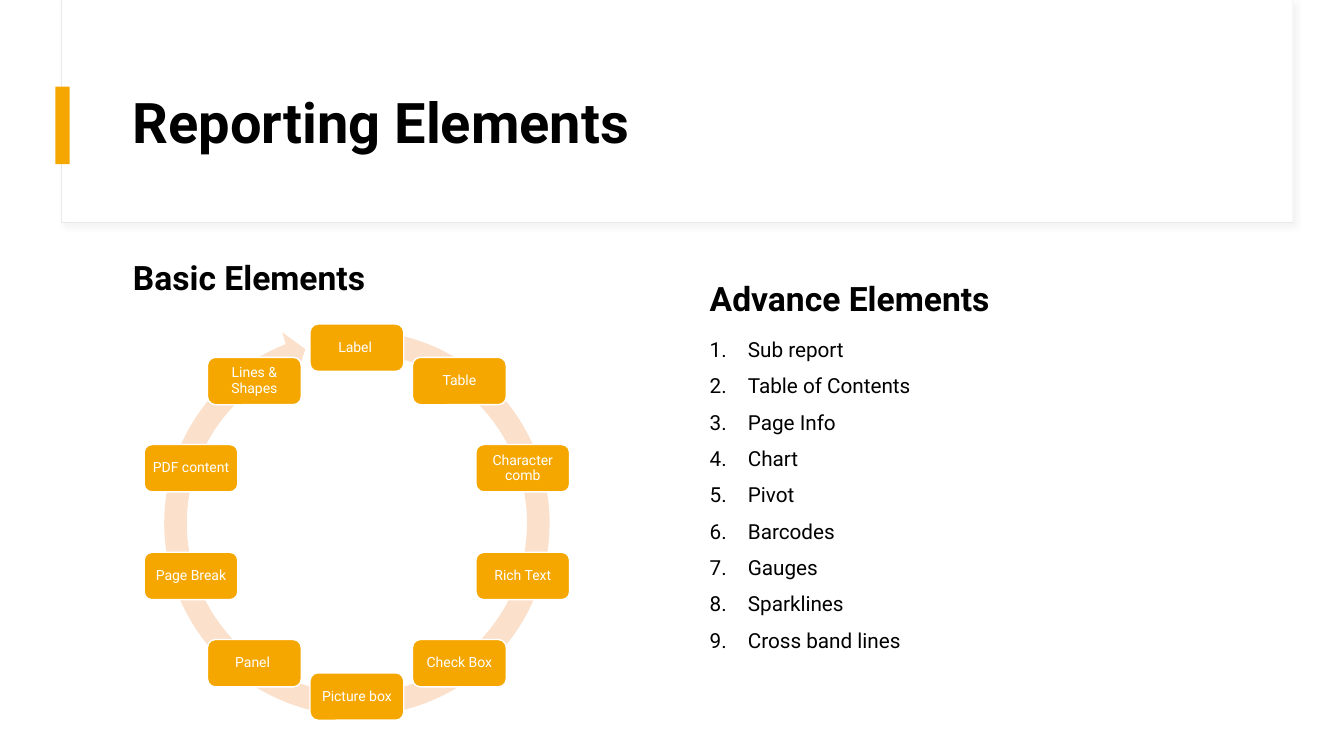
from dataclasses import dataclass
from math import cos, radians, sin

from lxml.etree import SubElement
from pptx import Presentation
from pptx.dml.color import RGBColor
from pptx.enum.shapes import MSO_SHAPE
from pptx.enum.text import MSO_ANCHOR, PP_ALIGN
from pptx.oxml.ns import qn
from pptx.util import Emu, Pt

PX = 9144  # EMU, 100 px to the inch

BASIC_ELEMENTS = ["Label ", "Table", "Character comb", "Rich Text", "Check Box",
                  "Picture box", "Panel ", "Page Break", "PDF content", "Lines & Shapes"]
ADVANCE_ELEMENTS = ["Sub report", "Table of Contents", "Page Info", "Chart", "Pivot",
                    "Barcodes", "Gauges", "Sparklines", "Cross band lines"]


@dataclass(frozen=True)
class Theme:
    font: str = "Roboto"
    ink: str = "000000"
    paper: str = "FFFFFF"
    accent: str = "F5A700"
    ring: str = "FBE1CC"
    frame: str = "E9E9E9"
    shadow: str = "D9D9D9"
    title: float = 40
    heading: float = 24
    body: float = 14.8
    label: float = 10


def px(value):
    return Emu(round(value * PX))


class SlideBuilder:
    def __init__(self, slide, theme):
        self.shapes = slide.shapes
        self.theme = theme

    def shape(self, kind, x, y, w, h, fill, line=None, line_width=1):
        sp = self.shapes.add_shape(kind, px(x), px(y), px(w), px(h))
        sp.shadow.inherit = False
        sp.fill.solid()
        sp.fill.fore_color.rgb = RGBColor.from_string(fill)
        if line:
            sp.line.color.rgb = RGBColor.from_string(line)
            sp.line.width = Pt(line_width)
        else:
            sp.line.fill.background()
        return sp

    def soft_shadow(self, sp):
        effects = sp._element.spPr.find(qn("a:effectLst"))
        shadow = SubElement(effects, qn("a:outerShdw"), blurRad=str(Pt(4)),
                            dist=str(Pt(3)), dir=str(45 * 60000), algn="tl", rotWithShape="0")
        color = SubElement(shadow, qn("a:srgbClr"), val=self.theme.shadow)
        SubElement(color, qn("a:alpha"), val="30000")

    def style(self, p, size, color, bold=False, spacing=0.9, before=0):
        p.line_spacing = spacing
        p.space_before = Pt(before)
        for r in p.runs:
            r.font.name = self.theme.font
            r.font.size = Pt(size)
            r.font.bold = bold
            r.font.color.rgb = RGBColor.from_string(color)

    def text(self, x, y, w, h, lines, size, anchor, **style):
        tf = self.shapes.add_textbox(px(x), px(y), px(w), px(h)).text_frame
        tf.word_wrap = True
        tf.vertical_anchor = anchor
        tf.text = "\n".join(lines)
        for p in tf.paragraphs:
            self.style(p, size, self.theme.ink, **style)
        return tf

    def heading(self, x, y, text):
        self.text(x, y, 540, 62, [text], self.theme.heading, MSO_ANCHOR.BOTTOM,
                  bold=True, spacing=1.1, before=10)

    def numbered_list(self, x, y, w, h, items):
        tf = self.text(x, y, w, h, items, self.theme.body, MSO_ANCHOR.TOP, before=10)
        for p in tf.paragraphs:
            pPr = p._p.get_or_add_pPr()
            pPr.set("marL", str(px(38)))
            pPr.set("indent", str(px(-38)))
            SubElement(pPr, qn("a:buFont"), typeface=self.theme.font)
            SubElement(pPr, qn("a:buAutoNum"), type="arabicPeriod")

    def ring_arrow(self, cx, cy, size):
        sp = self.shape(MSO_SHAPE.CIRCULAR_ARROW, cx - size / 2, cy - size / 2,
                        size, size, self.theme.ring)
        head_sweep, end, start = (degrees * 0.6 for degrees in (5.51, 248, 279.07))
        for i, value in enumerate((5.5 / 100, head_sweep, end, start, 5.8 / 100)):
            sp.adjustments[i] = value

    def node(self, cx, cy, text, w=93, h=47):
        sp = self.shape(MSO_SHAPE.ROUNDED_RECTANGLE, cx - w / 2, cy - h / 2, w, h,
                        self.theme.accent, self.theme.paper)
        tf = sp.text_frame
        tf.word_wrap = True
        tf.vertical_anchor = MSO_ANCHOR.MIDDLE
        tf.margin_left = tf.margin_right = tf.margin_top = tf.margin_bottom = px(6)
        tf.text = text
        p = tf.paragraphs[0]
        p.alignment = PP_ALIGN.CENTER
        self.style(p, self.theme.label, self.theme.paper)

    def cycle(self, cx, cy, radius, labels):
        """Place the labels clockwise from the top at equal angles."""
        self.ring_arrow(cx, cy + 1, 407)
        for i, label in enumerate(labels):
            angle = radians(360 * i / len(labels))
            self.node(cx + radius * sin(angle), cy - radius * cos(angle), label)


def main():
    prs = Presentation()
    prs.slide_width, prs.slide_height = px(1333), px(750)
    theme = Theme()
    s = SlideBuilder(prs.slides.add_slide(prs.slide_layouts[6]), theme)

    frame = s.shape(MSO_SHAPE.RECTANGLE, 61, 0, 1221, 221, theme.paper, theme.frame, 0.75)
    s.soft_shadow(frame)
    s.shape(MSO_SHAPE.RECTANGLE, 62, 0, 1220, 220, theme.paper)
    s.shape(MSO_SHAPE.RECTANGLE, 55, 86, 14, 77, theme.accent)
    s.text(122, 60, 1112, 129, ["Reporting Elements"], theme.title, MSO_ANCHOR.MIDDLE, bold=True)

    s.heading(122, 238, "Basic Elements")
    s.cycle(354, 518, 173, BASIC_ELEMENTS)

    s.heading(694, 259, "Advance Elements")
    s.numbered_list(694, 332, 540, 343, ADVANCE_ELEMENTS)

    prs.save("out.pptx")


if __name__ == "__main__":
    main()
